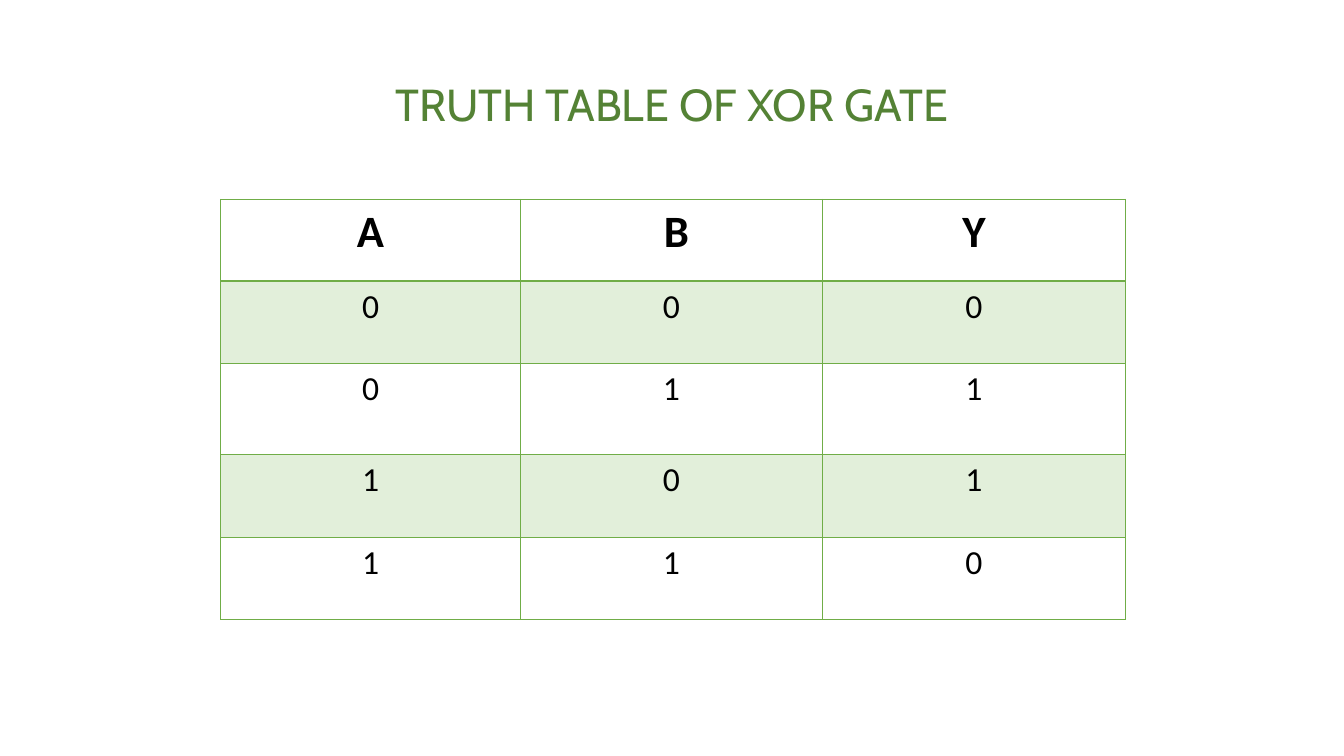
from lxml import etree
from pptx import Presentation
from pptx import util as u
from pptx.dml.color import RGBColor
from pptx.enum import text
from pptx.oxml.ns import qn

GREEN = "70AD47"
HEADS = ["A", " B", "Y"]
INPUTS = [(0, 0), (0, 1), (1, 0), (1, 1)]
WIDTHS = [2.97, 3, 3]
HEIGHTS = [0.81, 0.82, 0.9, 0.82, 0.82]


def color(code):
    return RGBColor.from_string(code)


class Deck:
    def __init__(self):
        self.show = Presentation()
        self.show.slide_width = u.Inches(13.33)
        self.show.slide_height = u.Inches(7.5)
        self.slide = self.show.slides.add_slide(self.show.slide_layouts[6])

    def label(self, frame, words, size, font, ink, bold=False):
        frame.text = words
        para = frame.paragraphs[0]
        para.alignment = text.PP_ALIGN.CENTER
        for run in para.runs:
            run.font.size = u.Pt(size)
            run.font.name = font
            run.font.bold = bold
            run.font.color.rgb = color(ink)

    def title(self, words, *place):
        box = self.slide.shapes.add_textbox(*map(u.Inches, place))
        box.text_frame.word_wrap = True
        self.label(box.text_frame, words, 32, "Cabin", "548235")

    def border(self, cell, side, width):
        props = cell._tc.get_or_add_tcPr()
        line = etree.SubElement(props, qn("a:ln" + side), w=str(u.Pt(width)))
        fill = etree.SubElement(line, qn("a:solidFill"))
        etree.SubElement(fill, qn("a:srgbClr"), val=GREEN)

    def table(self, rows, left, top):
        size = map(u.Inches, (left, top, sum(WIDTHS), sum(HEIGHTS)))
        grid = self.slide.shapes.add_table(len(rows), len(WIDTHS), *size).table
        grid.first_row = grid.horz_banding = False
        for col, width in zip(grid.columns, WIDTHS):
            col.width = u.Inches(width)
        for r, row in enumerate(rows):
            grid.rows[r].height = u.Inches(HEIGHTS[r])
            for c, value in enumerate(row):
                self.cell(grid.cell(r, c), str(value), r)

    def cell(self, cell, words, row):
        head = row == 0
        self.label(cell.text_frame, words, 32 if head else 24,
                   "Calibri", "000000", head)
        # The rule under the heading row is twice as thick.
        thick = {"T": 2 if row == 1 else 1, "B": 2 if head else 1}
        for side in "LRTB":
            self.border(cell, side, thick.get(side, 1))
        if row % 2:
            cell.fill.solid()
            cell.fill.fore_color.rgb = color("E2EFDA")
        else:
            cell.fill.background()


def main():
    deck = Deck()
    deck.title("TRUTH TABLE OF XOR GATE", 3.33, 0.71, 6.67, 0.64)
    deck.table([HEADS] + [(a, b, a ^ b) for a, b in INPUTS], 2.19, 1.98)
    deck.show.save("out.pptx")


if __name__ == "__main__":
    main()
